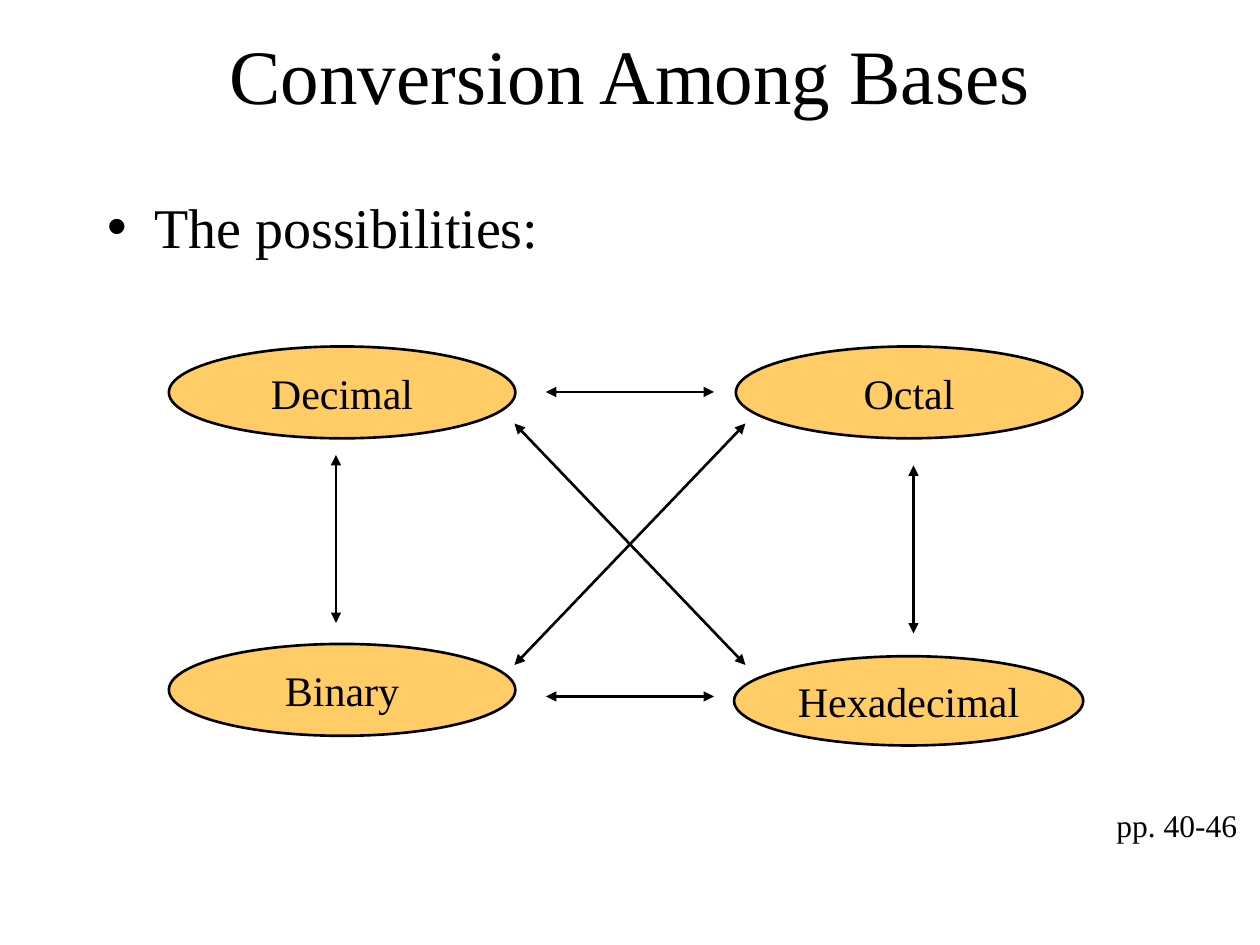
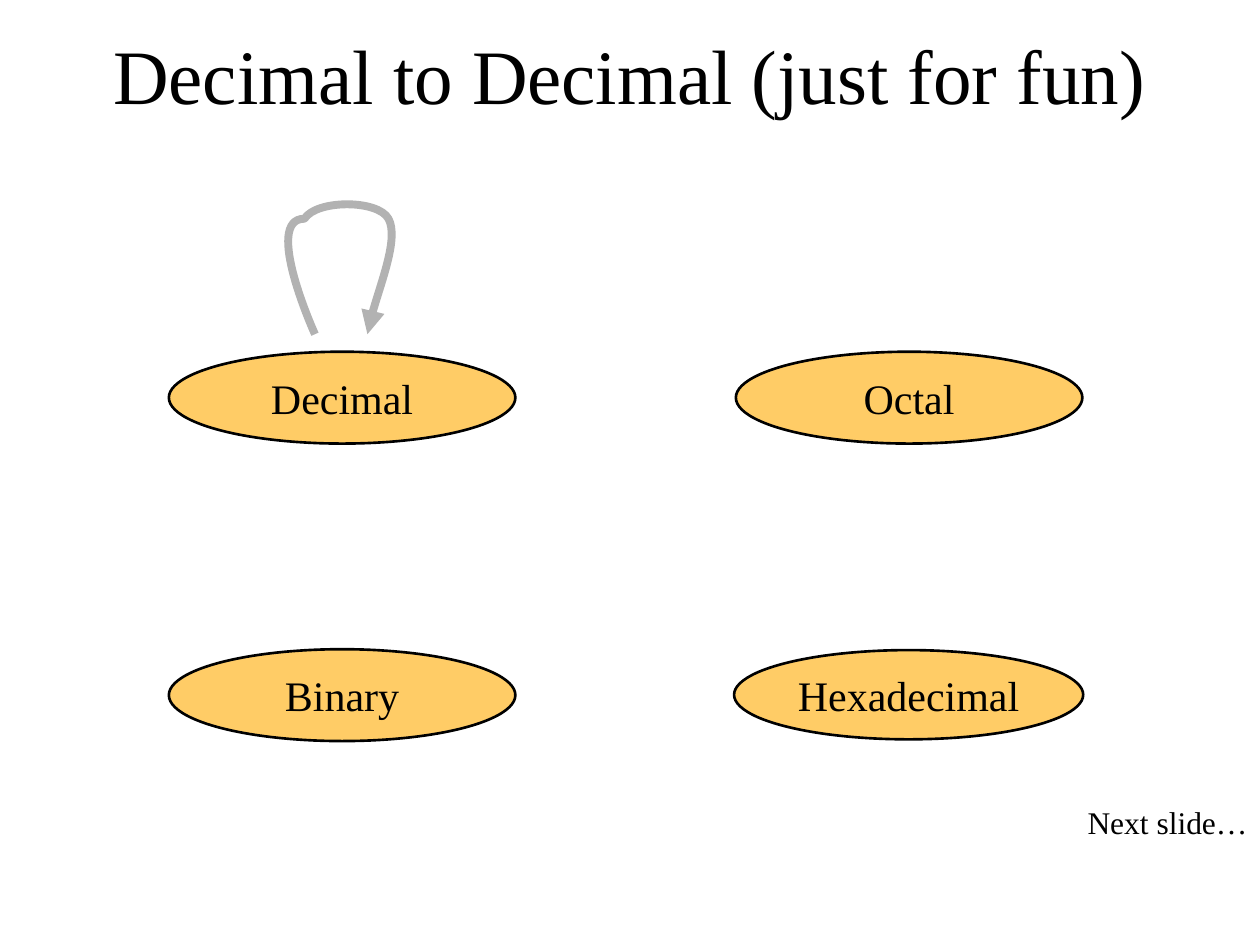
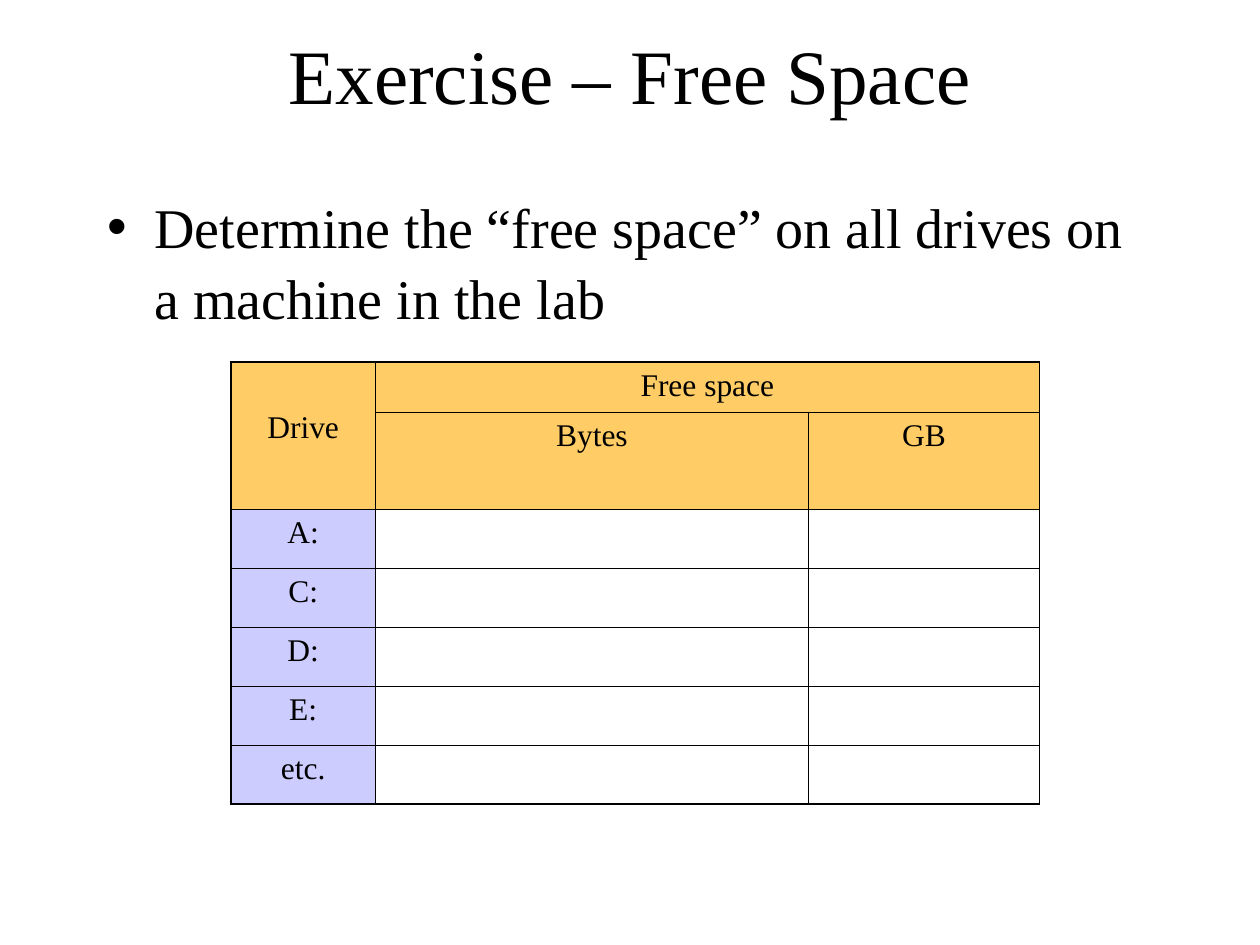
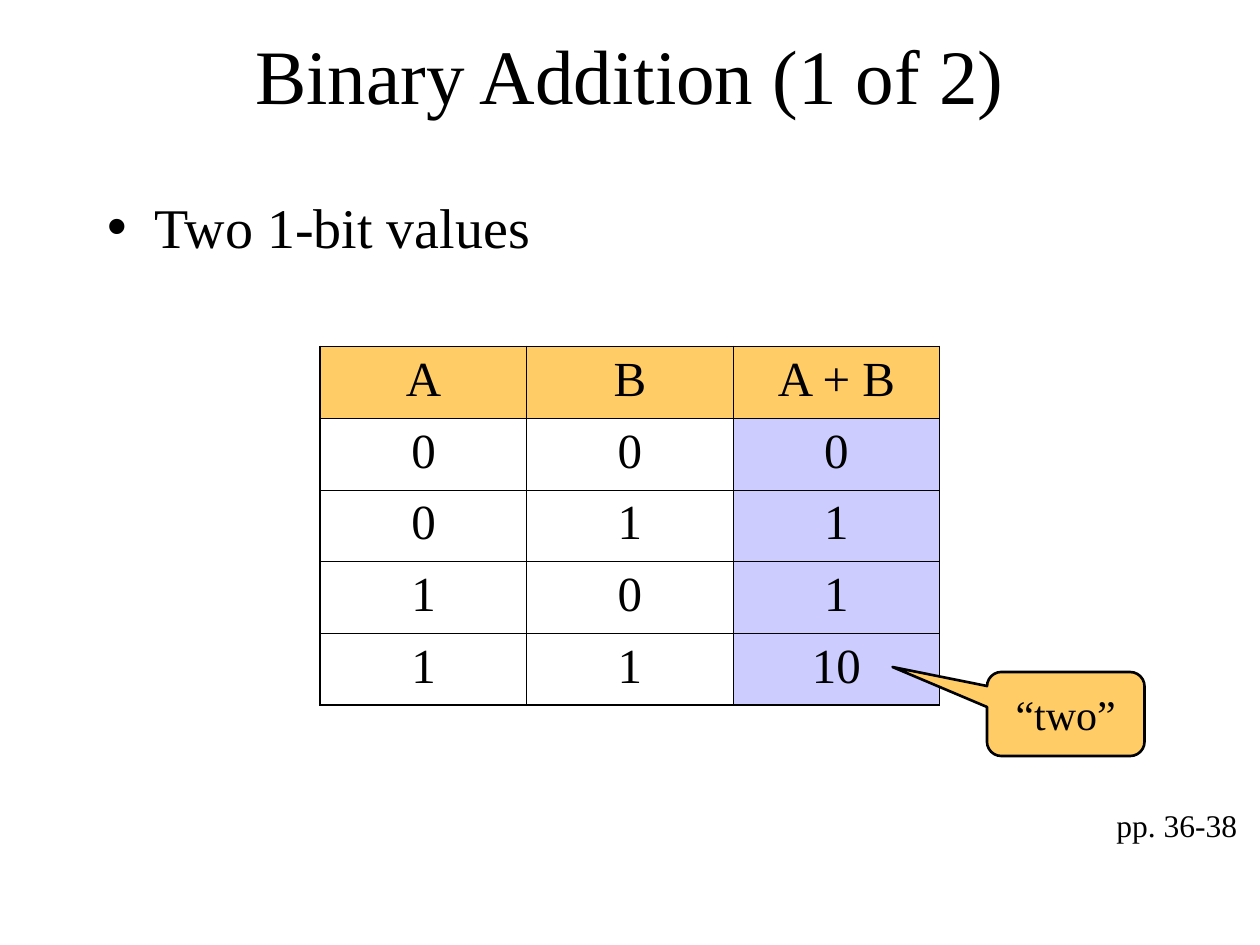
from lxml.etree import SubElement
from pptx import Presentation
from pptx.dml.color import RGBColor
from pptx.enum.shapes import MSO_CONNECTOR, MSO_SHAPE
from pptx.enum.text import MSO_ANCHOR, MSO_AUTO_SIZE, PP_ALIGN
from pptx.oxml.ns import qn
from pptx.util import Pt

FONT = "Times New Roman"
BLACK, GOLD, LILAC, GRAY = "000000", "FFCC66", "CCCCFF", "B2B2B2"
TITLE_BOX = (54, 12, 612, 60)
BODY_BOX = (54, 102, 612, 324)
PAGES_BOX = (630, 457, 84, 29)
NEXT_BOX = (614, 455.5, 106, 29)

# Name, left, top, width, height
BASES_LINKED = [
    ("Hexadecimal", 419.5, 375, 199.5, 51),
    ("Decimal", 96.5, 198, 198, 52.5),
    ("Octal", 420.5, 198, 198, 52.5),
    ("Binary", 96.5, 368, 198, 52.5),
]
BASES_ALONE = [
    ("Hexadecimal", 419.5, 371.5, 199.5, 51),
    ("Decimal", 96.5, 201, 198, 52.5),
    ("Octal", 420.5, 201, 198, 52.5),
    ("Binary", 96.5, 371, 198, 52.5),
]
# Start x, start y, end x, end y
CONVERSIONS = [
    (294, 380, 426, 242),
    (426, 380, 294, 242),
    (522, 362, 522, 266),
    (192, 356, 192, 260),
    (312, 224, 408, 224),
    (312, 398, 408, 398),
]
# Start point, then three Bézier points for each curve
SELF_LOOP = [
    (180, 191),
    (180, 191), (150, 125), (174, 125),
    (181, 114), (216, 114), (222, 125),
    (228, 136), (212, 177), (210, 191),
]
DRIVES = [
    ("Drive", "Free space", ""),
    ("", "Bytes", "GB"),
    ("A:", "", ""),
    ("C:", "", ""),
    ("D:", "", ""),
    ("E:", "", ""),
    ("etc.", "", ""),
]
SUMS = [
    ("A", "B", "A + B"),
    ("0", "0", "0"),
    ("0", "1", "1"),
    ("1", "0", "1"),
    ("1", "1", "10"),
]


def rgb(color):
    return RGBColor.from_string(color)


def box(values):
    return [Pt(v) for v in values]


def style_text(tf, size, align):
    for p in tf.paragraphs:
        p.alignment = align
        p.space_before = Pt(0)
        for r in p.runs:
            r.font.name = FONT
            r.font.size = Pt(size)
            r.font.color.rgb = rgb(BLACK)


def fill_placeholder(sp, place, text, size, align, anchor):
    sp.left, sp.top, sp.width, sp.height = box(place)
    tf = sp.text_frame
    tf.text = text
    tf.auto_size = MSO_AUTO_SIZE.NONE
    tf.vertical_anchor = anchor
    style_text(tf, size, align)
    return tf


def add_slide(prs, title, bullet=None):
    layout = prs.slide_layouts[1 if bullet else 5]
    slide = prs.slides.add_slide(layout)
    fill_placeholder(slide.shapes.title, TITLE_BOX, title, 44,
                     PP_ALIGN.CENTER, MSO_ANCHOR.MIDDLE)
    if bullet:
        tf = fill_placeholder(slide.placeholders[1], BODY_BOX, bullet, 32,
                              PP_ALIGN.LEFT, MSO_ANCHOR.TOP)
        tf.margin_top = Pt(5.5)
        tf.paragraphs[0].line_spacing = 1.06
    return slide


def add_note(slide, place, text, wrap=True):
    tf = slide.shapes.add_textbox(*box(place)).text_frame
    tf.word_wrap = wrap
    tf.text = text
    style_text(tf, 18, PP_ALIGN.RIGHT)


def add_label(slide, kind, place, text, wrap=False):
    """Add a gold, black-edged shape with centred text."""
    sp = slide.shapes.add_shape(kind, *box(place))
    sp.shadow.inherit = False
    sp.fill.solid()
    sp.fill.fore_color.rgb = rgb(GOLD)
    sp.line.color.rgb = rgb(BLACK)
    sp.line.width = Pt(1.5)
    tf = sp.text_frame
    tf.word_wrap = wrap
    tf.vertical_anchor = MSO_ANCHOR.MIDDLE
    tf.text = text
    style_text(tf, 24, PP_ALIGN.CENTER)
    return sp


def add_bases(slide, bases):
    for name, *place in bases:
        add_label(slide, MSO_SHAPE.OVAL, place, name)


def style_arrow(line, color, width, ends):
    line.color.rgb = rgb(color)
    line.width = Pt(width)
    ln = line._get_or_add_ln()
    for end in ends:
        SubElement(ln, qn(f"a:{end}"), type="triangle")


def add_conversion(slide, ends):
    cxn = slide.shapes.add_connector(MSO_CONNECTOR.STRAIGHT, *box(ends))
    style_arrow(cxn.line, BLACK, 1.5, ("headEnd", "tailEnd"))
    SubElement(cxn._element.spPr, qn("a:effectLst"))


def add_curve(slide, points):
    """Draw Bézier curves by regrouping straight segments in threes."""
    start, *rest = [tuple(box(pt)) for pt in points]
    builder = slide.shapes.build_freeform(*start)
    builder.add_line_segments(rest, close=False)
    sp = builder.convert_to_shape()
    sp.shadow.inherit = False
    sp.fill.background()
    style_arrow(sp.line, GRAY, 4.5, ("tailEnd",))
    segments = list(sp._element.iter(qn("a:lnTo")))
    outline = segments[0].getparent()
    for i in range(0, len(segments), 3):
        curve = SubElement(outline, qn("a:cubicBezTo"))
        for segment in segments[i:i + 3]:
            curve.append(segment[0])
            outline.remove(segment)


def set_border(cell, edge, width):
    ln = SubElement(cell._tc.get_or_add_tcPr(), qn(f"a:{edge}"),
                    w=str(Pt(width)))
    fill = SubElement(ln, qn("a:solidFill"))
    SubElement(fill, qn("a:srgbClr"), val=BLACK)


def add_grid(slide, origin, rows, widths, heights, size, head_rows, lilac_col):
    """Add a table with a gold head, one lilac column and heavier outer edges."""
    place = box((*origin, sum(widths), sum(heights)))
    table = slide.shapes.add_table(len(rows), len(widths), *place).table
    table.first_row = table.horz_banding = False
    for col, width in zip(table.columns, widths):
        col.width = Pt(width)
    for row, height in zip(table.rows, heights):
        row.height = Pt(height)
    last_row, last_col = len(rows) - 1, len(widths) - 1
    for i, texts in enumerate(rows):
        for j, text in enumerate(texts):
            cell = table.cell(i, j)
            cell.text = text
            style_text(cell.text_frame, size, PP_ALIGN.CENTER)
            outer = {"lnL": j == 0, "lnR": j == last_col,
                     "lnT": i == 0, "lnB": i == last_row}
            for edge, heavy in outer.items():
                set_border(cell, edge, 1.08 if heavy else 0.45)
            if i < head_rows or j == lilac_col:
                cell.fill.solid()
                cell.fill.fore_color.rgb = rgb(GOLD if i < head_rows else LILAC)
            else:
                cell.fill.background()
    return table


def main():
    prs = Presentation()
    prs.slide_width, prs.slide_height = Pt(720), Pt(540)

    slide = add_slide(prs, "Conversion Among Bases", "The possibilities:")
    add_bases(slide, BASES_LINKED)
    for ends in CONVERSIONS:
        add_conversion(slide, ends)
    add_note(slide, PAGES_BOX, "pp. 40-46")

    slide = add_slide(prs, "Decimal to Decimal (just for fun)")
    add_bases(slide, BASES_ALONE)
    add_curve(slide, SELF_LOOP)
    add_note(slide, NEXT_BOX, "Next slide…", wrap=False)

    slide = add_slide(prs, "Exercise – Free Space",
                      "Determine the “free space” on all drives on "
                      "a machine in the lab")
    table = add_grid(slide, (132, 206.75), DRIVES, (82.5, 247.5, 132),
                     [28.8, 55.5] + [33.7] * 5, 18, 2, 0)
    table.cell(0, 0).merge(table.cell(1, 0))
    table.cell(0, 1).merge(table.cell(0, 2))
    table.cell(0, 0).margin_top = Pt(28)

    slide = add_slide(prs, "Binary Addition (1 of 2)", "Two 1-bit values")
    add_note(slide, PAGES_BOX, "pp. 36-38")
    add_grid(slide, (183, 198), SUMS, [118] * 3, [41] * 5, 28, 1, 2)
    callout = add_label(slide, MSO_SHAPE.ROUNDED_RECTANGULAR_CALLOUT,
                        (564, 384, 90, 48), "“two”", wrap=True)
    for i, value in enumerate((-1.1, -0.56, 0.17)):
        callout.adjustments[i] = value

    prs.save("out.pptx")


if __name__ == "__main__":
    main()
